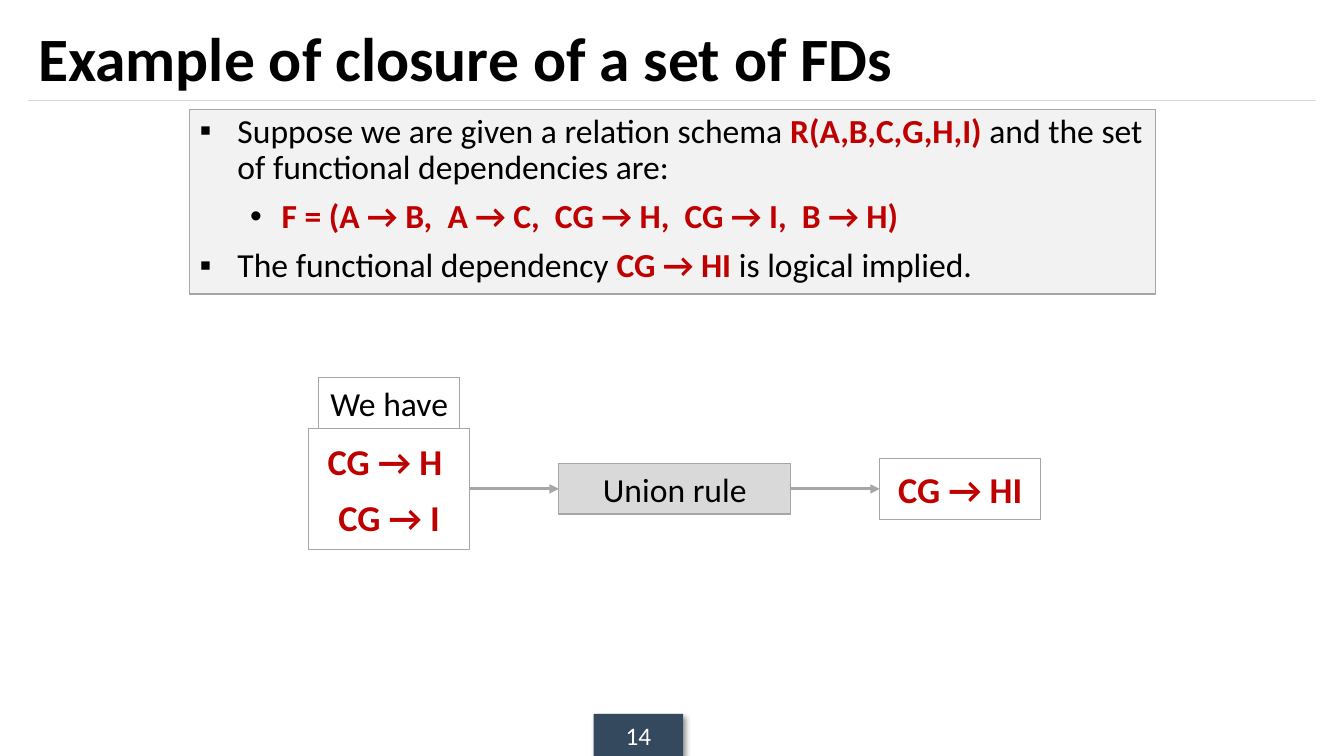
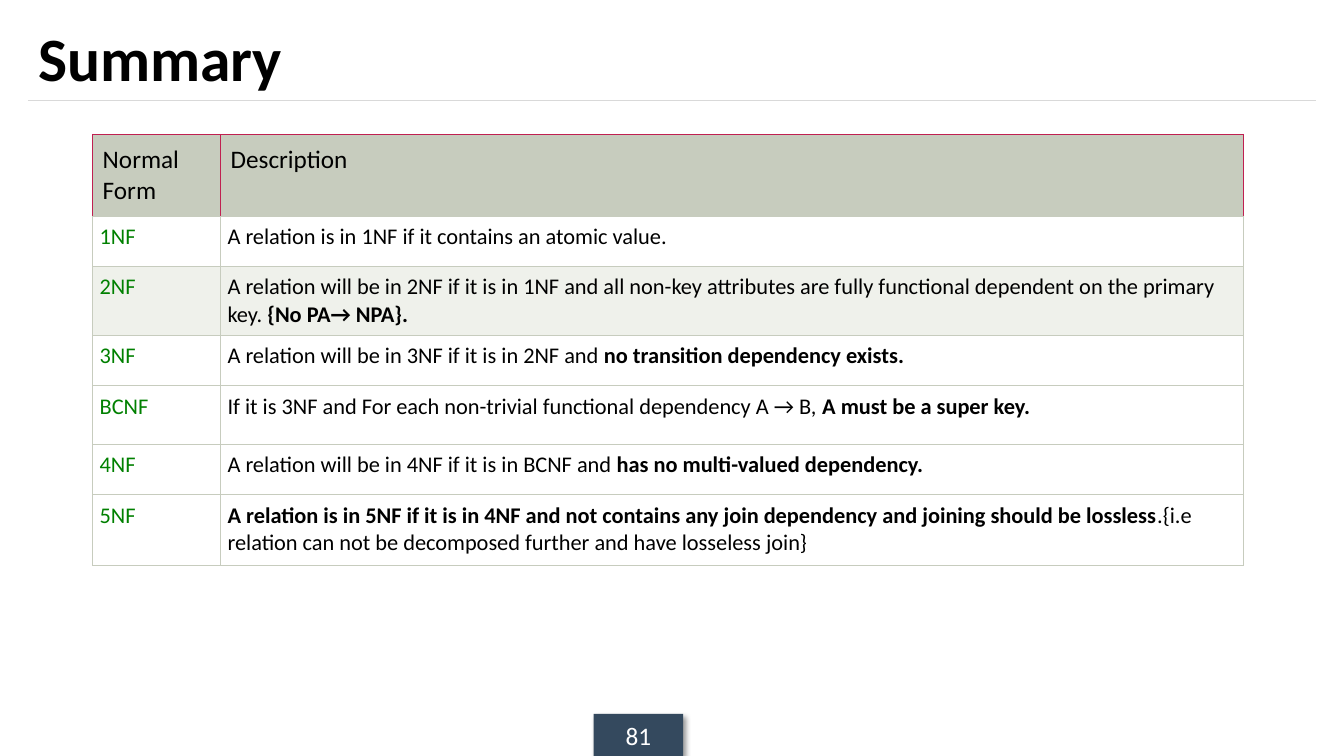
"""Build two slides on functional dependencies and normal forms."""
from lxml.etree import SubElement
from pptx import Presentation
from pptx.dml.color import RGBColor
from pptx.enum.shapes import MSO_CONNECTOR as Connector, MSO_SHAPE as Shape
from pptx.enum.text import MSO_ANCHOR as Anchor, MSO_AUTO_SIZE as AutoSize, PP_ALIGN as Align
from pptx.oxml.ns import qn
from pptx.util import Pt

FONT = "Calibri"
BLACK, WHITE, RED, GREEN = "000000", "FFFFFF", "C00000", "008000"
NAVY, RULE, EDGE = "34495E", "D9D9D9", "A6A6A6"
PANEL, SAGE, PALE, CRIMSON = "F2F2F2", "C7CCBE", "EFF1EB", "C02051"
TITLE_LAYOUT, BODY_LAYOUT = 5, 1
FLOW_MIDDLE, FLOW_GAP = 349.2, 63.6

NORMAL_FORMS = [
    ("1NF", "A relation is in 1NF if it contains an atomic value.", 36),
    ("2NF", "A relation will be in 2NF if it is in 1NF and all non-key attributes are fully "
            "functional dependent on the primary key. *{No PA→ NPA}.*", 42),
    ("3NF", "A relation will be in 3NF if it is in 2NF and *no transition dependency exists.*", 36),
    ("BCNF", "If it is 3NF and For each non-trivial functional dependency A → B, "
             "*A must be a super key.*", 42),
    ("4NF", "A relation will be in 4NF if it is in BCNF and *has no multi-valued dependency.*", 36),
    ("5NF", "*A relation is in 5NF if it is in 4NF and not contains any join dependency and "
            "joining should be lossless*.{i.e relation can not be decomposed further and have "
            "losseless join}", 50.4),
]


def color(code):
    """Turn a hex string into a colour."""
    return RGBColor.from_string(code)


def add_solid(parent, code):
    """Append a solid fill to an XML element and return its colour element."""
    return SubElement(SubElement(parent, qn("a:solidFill")), qn("a:srgbClr"), val=code)


def place(box, left, top, width, height):
    """Move and size a shape, in points."""
    box.left, box.top, box.width, box.height = map(Pt, (left, top, width, height))


def set_bullet(para, mark, left, hang):
    """Give a paragraph a black bullet and a hanging indent."""
    properties = para._p.get_or_add_pPr()
    properties.set("marL", str(Pt(left)))
    properties.set("indent", str(-Pt(hang)))
    SubElement(SubElement(properties, qn("a:buClr")), qn("a:srgbClr"), val=BLACK)
    SubElement(properties, qn("a:buFont"), typeface="Arial")
    SubElement(properties, qn("a:buChar"), char=mark)


def write(frame, text, size=24, ink=BLACK, accent=None, bold=False, align=Align.LEFT,
          before=0, spacing=1.0, level=0, bullet=None):
    """Add a paragraph in which spans between asterisks are bold."""
    first = frame.paragraphs[0]
    para = frame.add_paragraph() if first.runs else first
    para.level = level
    if bullet:
        set_bullet(para, *bullet)
    para.alignment, para.line_spacing, para.space_before = align, spacing, Pt(before)
    for index, part in enumerate(text.split("*")):
        if part:
            marked = index % 2 == 1
            span = para.add_run()
            span.text = part
            span.font.name, span.font.size = FONT, Pt(size)
            span.font.bold = bold or marked
            span.font.color.rgb = color(accent if marked and accent else ink)


def add_box(page, left, top, width, height, fill=None, edge=None):
    """Add a flat rectangle with centred text and return it."""
    box = page.shapes.add_shape(Shape.RECTANGLE, Pt(left), Pt(top), Pt(width), Pt(height))
    box.shadow.inherit = False
    paint(box, fill, edge)
    box.text_frame.word_wrap = True
    box.text_frame.vertical_anchor = Anchor.MIDDLE
    return box


def paint(box, fill, edge):
    """Set the fill and outline of a shape, or clear them."""
    if fill:
        box.fill.solid()
        box.fill.fore_color.rgb = color(fill)
    else:
        box.fill.background()
    if edge:
        box.line.color.rgb = color(edge)
        box.line.width = Pt(0.75)
    else:
        box.line.fill.background()


def add_line(page, start, end, height, ink, width, arrow=False):
    """Draw a horizontal line, with an arrowhead if wanted."""
    line = page.shapes.add_connector(
        Connector.STRAIGHT, Pt(start), Pt(height), Pt(end), Pt(height))
    line.line.color.rgb = color(ink)
    line.line.width = Pt(width)
    if arrow:
        SubElement(line.line._get_or_add_ln(), qn("a:tailEnd"), type="triangle")
    SubElement(line._element.spPr, qn("a:effectLst"))


def add_shadow(box):
    """Cast a soft shadow to the lower right."""
    effects = box._element.spPr.find(qn("a:effectLst"))
    shadow = SubElement(effects, qn("a:outerShdw"), blurRad=str(Pt(4)), dist=str(Pt(3)),
                        dir="2700000", algn="tl", rotWithShape="0")
    black = SubElement(shadow, qn("a:srgbClr"), val=BLACK)
    SubElement(black, qn("a:alpha"), val="40000")


def add_page(deck, layout, title, number):
    """Add a slide with the shared title, rule and page number."""
    page = deck.slides.add_slide(deck.slide_layouts[layout])
    add_line(page, 20, 940, 72, RULE, 0.75)
    badge = add_box(page, 424, 510, 64, 30, fill=NAVY)
    add_shadow(badge)
    write(badge.text_frame, number, size=18, ink=WHITE, align=Align.CENTER)
    heading = page.shapes.title
    place(heading, 20, 9, 920, 63)
    heading.text_frame.auto_size = AutoSize.NONE
    heading.text_frame.vertical_anchor = Anchor.MIDDLE
    write(heading.text_frame, title, size=44, bold=True)
    return page


def add_premises(page):
    """Fill the body placeholder with the given dependencies."""
    body = page.placeholders[1]
    place(body, 135.4, 78, 690, 132)
    paint(body, PANEL, EDGE)
    frame = body.text_frame
    frame.auto_size = AutoSize.NONE
    square, dot = ("▪", 27, 27), ("•", 58.5, 22.5)
    shared = {"accent": RED, "spacing": 0.9}
    write(frame, "Suppose we are given a relation schema *R(A,B,C,G,H,I)* and the set of "
          "functional dependencies are:", bullet=square, **shared)
    write(frame, "*F = (A → B,  A → C,  CG → H,  CG → I,  B → H)*", level=1, before=9,
          bullet=dot, **shared)
    write(frame, "The functional dependency *CG → HI* is logical implied.", before=9,
          bullet=square, **shared)


def add_flow(page):
    """Draw the derivation as a row of boxes joined by arrows."""
    dependency = {"size": 26, "ink": RED, "bold": True}
    steps = [
        (["CG → H ", "CG → I"], 115.2, 86.4, None, dependency),
        (["Union rule"], 165.6, 36, RULE, {}),
        (["CG → HI"], 115.2, 43.2, None, dependency),
    ]
    left = start = 220.4
    for index, (lines, width, height, fill, style) in enumerate(steps):
        if index:
            add_line(page, left - FLOW_GAP, left, FLOW_MIDDLE, EDGE, 2.25, arrow=True)
        box = add_box(page, left, FLOW_MIDDLE - height / 2, width, height, fill, EDGE)
        for row, line in enumerate(lines):
            write(box.text_frame, line, align=Align.CENTER, before=9 if row else 0, **style)
        left += width + FLOW_GAP
    label = add_box(page, start + 7.2, 270, 100.8, 36, edge=EDGE)
    write(label.text_frame, "We have", align=Align.CENTER)


def fill_cell(cell, text, fill, inset, borders, **style):
    """Write a table cell with its fill, margins and borders."""
    properties = cell._tc.get_or_add_tcPr()
    for side, ink in zip(("L", "R", "T", "B"), borders):
        add_solid(SubElement(properties, qn(f"a:ln{side}"), w=str(Pt(0.75))), ink)
    cell.fill.solid()
    cell.fill.fore_color.rgb = color(fill)
    cell.margin_left = cell.margin_right = cell.margin_top = cell.margin_bottom = Pt(inset)
    write(cell.text_frame, text, **style)


def add_summary(page):
    """Add the table of normal forms."""
    heights = [58.4] + [height for _, _, height in NORMAL_FORMS]
    widths = [91.4, 730.8]
    table = page.shapes.add_table(len(heights), len(widths), Pt(66.2), Pt(96),
                                  Pt(sum(widths)), Pt(sum(heights))).table
    table.first_row = table.horz_banding = False
    for column, width in zip(table.columns, widths):
        column.width = Pt(width)
    for row, height in zip(table.rows, heights):
        row.height = Pt(height)
    for column, text in enumerate(("Normal Form", "Description")):
        fill_cell(table.cell(0, column), text, SAGE, 7.2, [CRIMSON] * 3 + [SAGE], size=18)
    for row, (name, description, _) in enumerate(NORMAL_FORMS, 1):
        fill = PALE if name == "2NF" else WHITE
        for column, (text, ink) in enumerate(((name, GREEN), (description, BLACK))):
            fill_cell(table.cell(row, column), text, fill, 5, [SAGE] * 4, size=16, ink=ink)


def main():
    """Build and save the deck."""
    deck = Presentation()
    deck.slide_width, deck.slide_height = Pt(960), Pt(540)
    example = add_page(deck, BODY_LAYOUT, "Example of closure of a set of FDs", "14")
    add_premises(example)
    add_flow(example)
    add_summary(add_page(deck, TITLE_LAYOUT, "Summary", "81"))
    deck.save("out.pptx")


if __name__ == "__main__":
    main()
